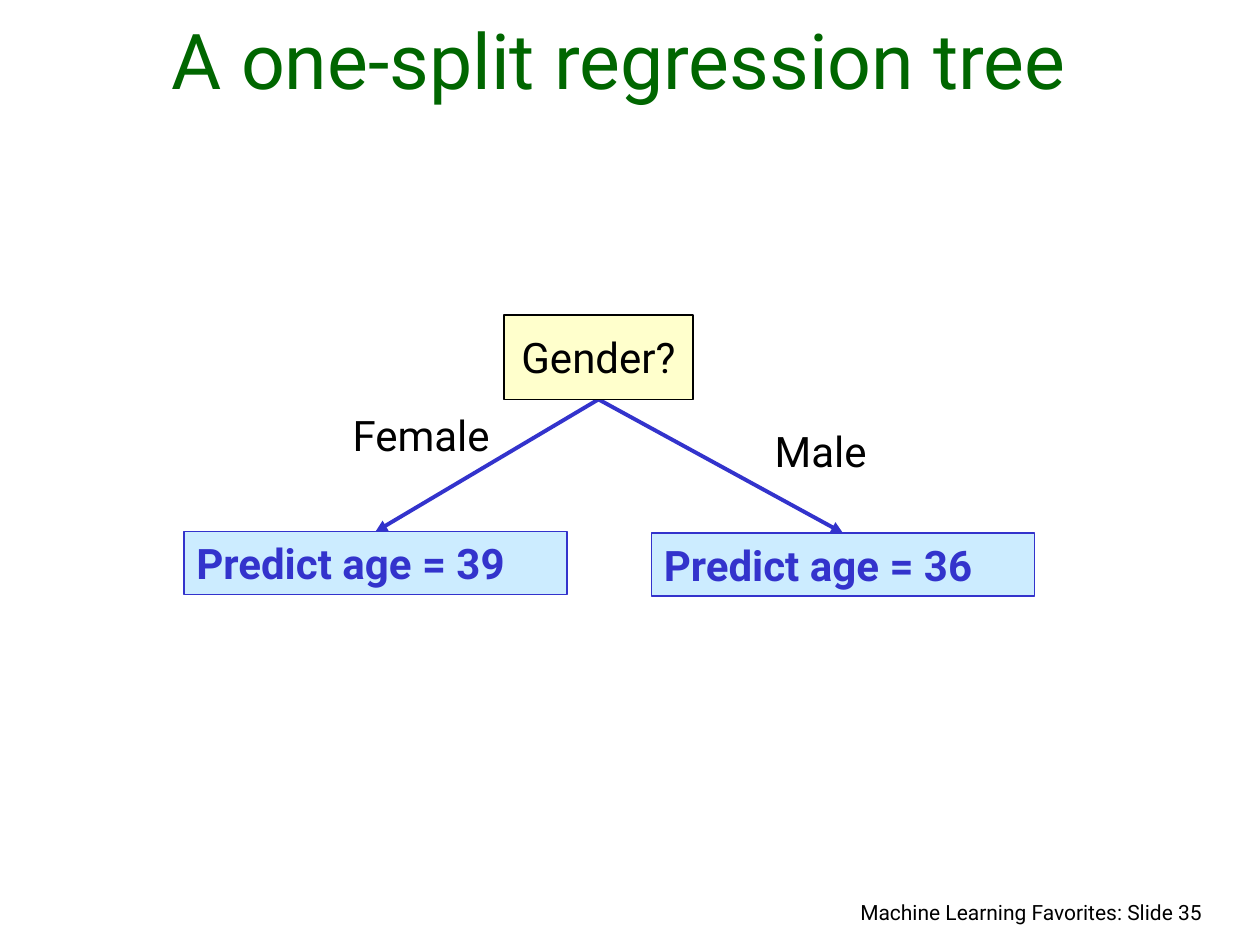
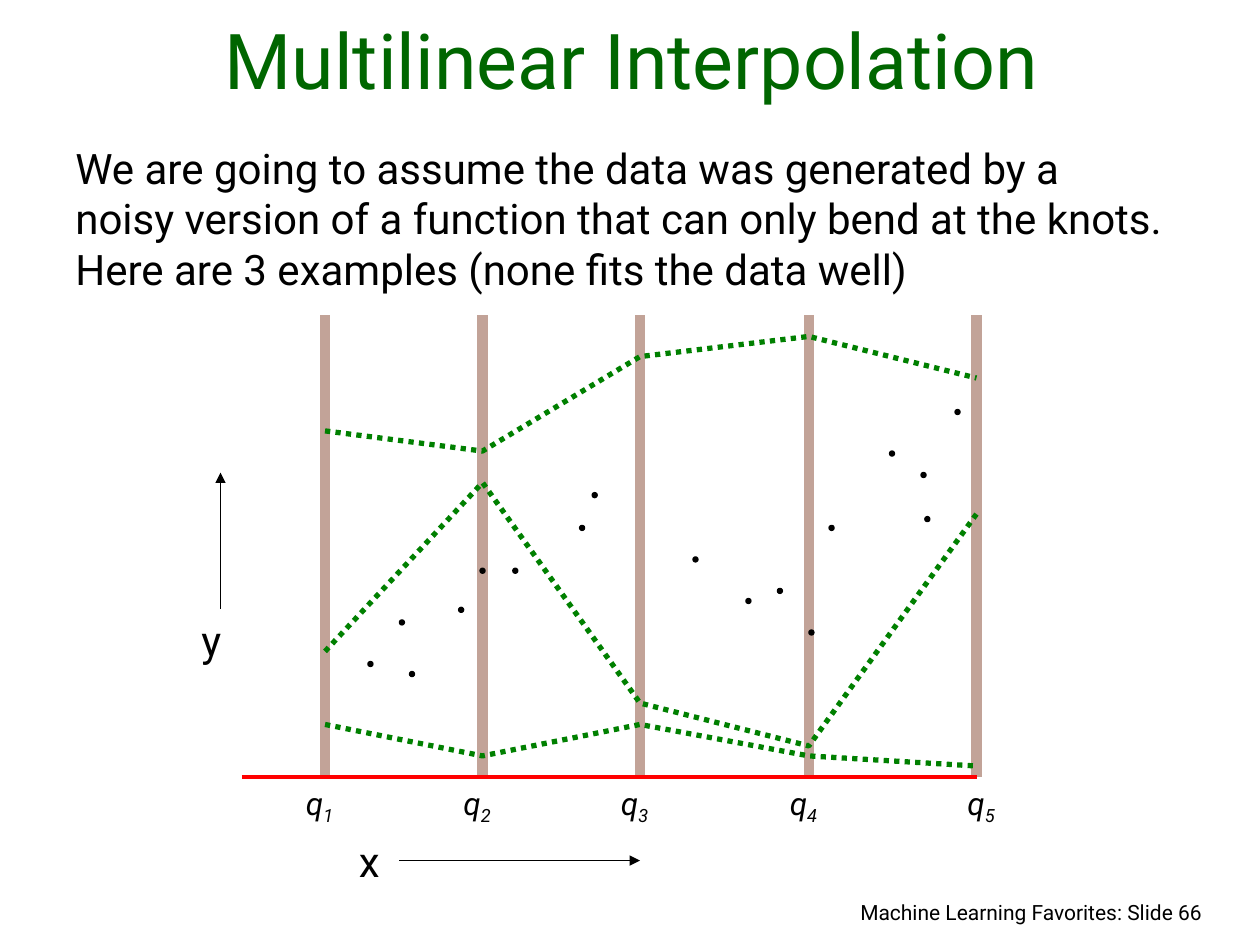
"""Build two machine learning slides: a one-split regression tree and multilinear interpolation."""

import dataclasses

import lxml.etree
import pptx
import pptx.dml.color
import pptx.enum.dml
import pptx.enum.shapes
import pptx.enum.text
import pptx.oxml.ns
import pptx.util

Inches = pptx.util.Inches
ALIGN = pptx.enum.text.PP_ALIGN
ANCHOR = pptx.enum.text.MSO_ANCHOR
SHAPE = pptx.enum.shapes.MSO_SHAPE


@dataclasses.dataclass(frozen=True)
class Theme:
    font: str = "Roboto"
    title_size: int = 44
    body_size: int = 24
    knot_size: int = 18
    footer_size: int = 12
    title: str = "006600"
    ink: str = "000000"
    blue: str = "3333CC"
    leaf: str = "CCECFF"
    question: str = "FFFFCC"
    knot: str = "C2A398"
    axis: str = "FF0000"
    curve: str = "008000"


THEME = Theme()
FOOTER = "Machine Learning Favorites: Slide {}"

TREE_TITLE = "A one-split regression tree"
QUESTION = ("Gender?", (4, 2.5, 1.5, 0.67))
LEAVES = [
    ("Predict age = 39", (1.46, 4.22, 3.04, 0.5)),
    ("Predict age = 36", (5.17, 4.23, 3.04, 0.5)),
]
BRANCH_LABELS = [("Female", (2.7, 3.2, 1.33, 0.5)), ("Male", (6.05, 3.33, 0.96, 0.5))]

KNOT_TITLE = "Multilinear Interpolation"
INTRODUCTION = (
    "We are going to assume the data was generated by a noisy version of a function "
    "that can only bend at the knots. Here are 3 examples (none fits the data well)"
)
KNOTS = [2.58, 3.83, 5.08, 6.42, 7.75]
KNOT_LABEL_LEFTS = [2.33, 3.58, 4.83, 6.17, 7.58]
PLOT_TOP, PLOT_BOTTOM, AXIS_LEFT = 2.5, 6.17, 1.92
CURVES = [
    [5.17, 3.83, 5.58, 5.92, 4.08],
    [3.42, 3.58, 2.83, 2.67, 3],
    [5.75, 6, 5.75, 6, 6.08],
]
AXIS_NAMES = [
    ("x", (2.75, 6.58), (3.17, 6.83), (5.08, 6.83)),
    ("y", (1.5, 4.83), (1.75, 4.83), (1.75, 3.75)),
]
DOT_SIZE = 0.04
DOTS = [
    (2.92, 5.25), (3.17, 4.92), (3.25, 5.33), (3.64, 4.82), (3.81, 4.51), (4.07, 4.51),
    (4.6, 4.17), (4.7, 3.91), (5.5, 4.42), (5.92, 4.75), (6.17, 4.67), (6.42, 5),
    (6.58, 4.17), (7.06, 3.58), (7.31, 3.75), (7.34, 4.1), (7.58, 3.25),
]


def rgb(color):
    return pptx.dml.color.RGBColor.from_string(color)


def place(box):
    return [Inches(length) for length in box]


def write(shape, text, size=THEME.body_size, color=THEME.ink, align=ALIGN.LEFT,
          anchor=ANCHOR.TOP, bold=False, wrap=True):
    frame = shape.text_frame
    frame.text = text
    frame.word_wrap = wrap
    frame.auto_size = pptx.enum.text.MSO_AUTO_SIZE.NONE
    frame.vertical_anchor = anchor
    paragraph = frame.paragraphs[0]
    paragraph.alignment = align
    for run in paragraph.runs:
        style(run, size, color, bold)


def style(run, size, color, bold=False, italic=False):
    run.font.name = THEME.font
    run.font.size = pptx.util.Pt(size)
    run.font.bold = bold
    run.font.italic = italic
    run.font.color.rgb = rgb(color)


def add_text(slide, text, box, **options):
    write(slide.shapes.add_textbox(*place(box)), text, **options)


def add_filled(slide, kind, box, fill, line):
    shape = slide.shapes.add_shape(kind, *place(box))
    shape.shadow.inherit = False
    shape.fill.solid()
    shape.fill.fore_color.rgb = rgb(fill)
    shape.line.color.rgb = rgb(line)
    shape.line.width = pptx.util.Pt(0.75)
    return shape


def add_line(slide, start, end, color, width, arrow=False):
    connector = slide.shapes.add_connector(
        pptx.enum.shapes.MSO_CONNECTOR.STRAIGHT, *place(start + end))
    connector.line.color.rgb = rgb(color)
    connector.line.width = pptx.util.Pt(width)
    properties = connector.element.spPr
    if arrow:
        outline = properties.find(pptx.oxml.ns.qn("a:ln"))
        lxml.etree.SubElement(outline, pptx.oxml.ns.qn("a:tailEnd"), type="triangle")
    lxml.etree.SubElement(properties, pptx.oxml.ns.qn("a:effectLst"))


def add_curve(slide, heights):
    points = [(Inches(x), Inches(y)) for x, y in zip(KNOTS, heights)]
    builder = slide.shapes.build_freeform(*points[0])
    builder.add_line_segments(points[1:], close=False)
    curve = builder.convert_to_shape()
    curve.shadow.inherit = False
    curve.fill.background()
    curve.line.color.rgb = rgb(THEME.curve)
    curve.line.width = pptx.util.Pt(3)
    curve.line.dash_style = pptx.enum.dml.MSO_LINE.ROUND_DOT


def add_knot_label(slide, left, number):
    label = slide.shapes.add_textbox(*place((left, PLOT_BOTTOM, 0.5, 0.44)))
    label.text_frame.word_wrap = True
    paragraph = label.text_frame.paragraphs[0]
    for text in ("q", str(number)):
        run = paragraph.add_run()
        run.text = text
        style(run, THEME.knot_size, THEME.ink, italic=True)
    run.font._element.set("baseline", "-25000")


def add_slide(presentation, title, title_width, number):
    slide = presentation.slides.add_slide(presentation.slide_layouts[5])
    heading = slide.shapes.title
    heading.left, heading.top, heading.width, heading.height = place(
        (0.25, 0.17, title_width, 0.71))
    write(heading, title, size=THEME.title_size, color=THEME.title,
          align=ALIGN.CENTER, anchor=ANCHOR.BOTTOM)
    add_text(slide, FOOTER.format(number), (5.72, 7.09, 3.92, 0.33),
             size=THEME.footer_size, align=ALIGN.RIGHT)
    return slide


def build_tree(presentation):
    slide = add_slide(presentation, TREE_TITLE, 9.33, 35)
    question, (left, top, width, height) = QUESTION
    root = (left + width / 2, top + height)
    for prediction, box in LEAVES:
        leaf = add_filled(slide, SHAPE.RECTANGLE, box, THEME.leaf, THEME.blue)
        write(leaf, prediction, color=THEME.blue, bold=True)
        add_line(slide, root, (box[0] + box[2] / 2, box[1]), THEME.blue, 2.25, arrow=True)
    node = add_filled(slide, SHAPE.RECTANGLE, QUESTION[1], THEME.question, THEME.ink)
    write(node, question, align=ALIGN.CENTER, anchor=ANCHOR.MIDDLE, wrap=False)
    for label, box in BRANCH_LABELS:
        add_text(slide, label, box, wrap=False)


def build_interpolation(presentation):
    slide = add_slide(presentation, KNOT_TITLE, 9.53, 66)
    for x in KNOTS:
        add_line(slide, (x, PLOT_BOTTOM), (x, PLOT_TOP), THEME.knot, 6)
    add_line(slide, (AXIS_LEFT, PLOT_BOTTOM), (KNOTS[-1], PLOT_BOTTOM), THEME.axis, 2.25)
    for name, corner, start, end in AXIS_NAMES:
        add_text(slide, name, corner + (0.5, 0.5))
        add_line(slide, start, end, THEME.ink, 1, arrow=True)
    for corner in DOTS:
        add_filled(slide, SHAPE.OVAL, corner + (DOT_SIZE, DOT_SIZE), THEME.ink, THEME.ink)
    add_text(slide, INTRODUCTION, (0.5, 1.08, 8.83, 1.3))
    for number, left in enumerate(KNOT_LABEL_LEFTS, start=1):
        add_knot_label(slide, left, number)
    for heights in CURVES:
        add_curve(slide, heights)


def main():
    presentation = pptx.Presentation()
    presentation.slide_width = Inches(10)
    presentation.slide_height = Inches(7.5)
    build_tree(presentation)
    build_interpolation(presentation)
    presentation.save("out.pptx")


if __name__ == "__main__":
    main()
